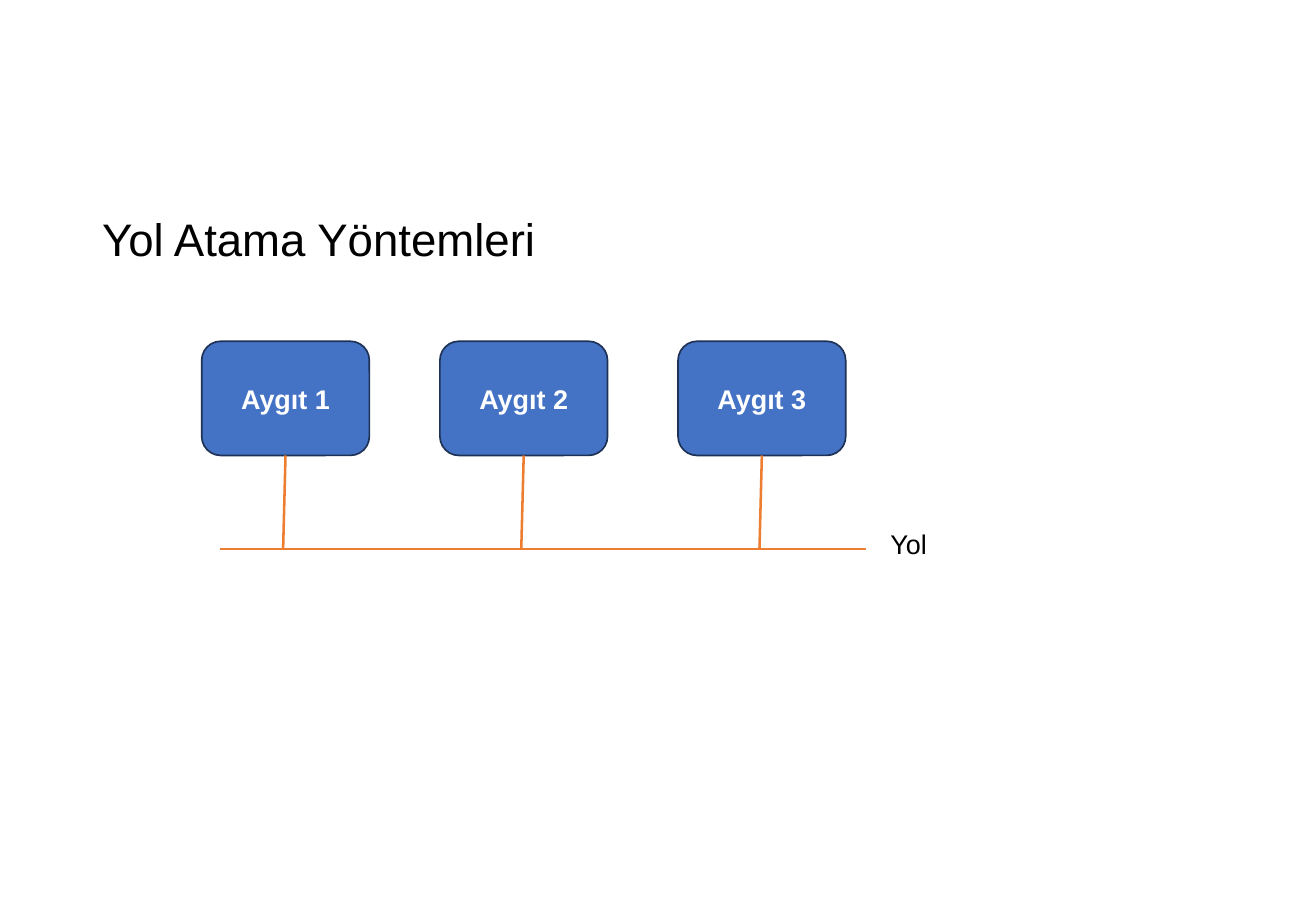
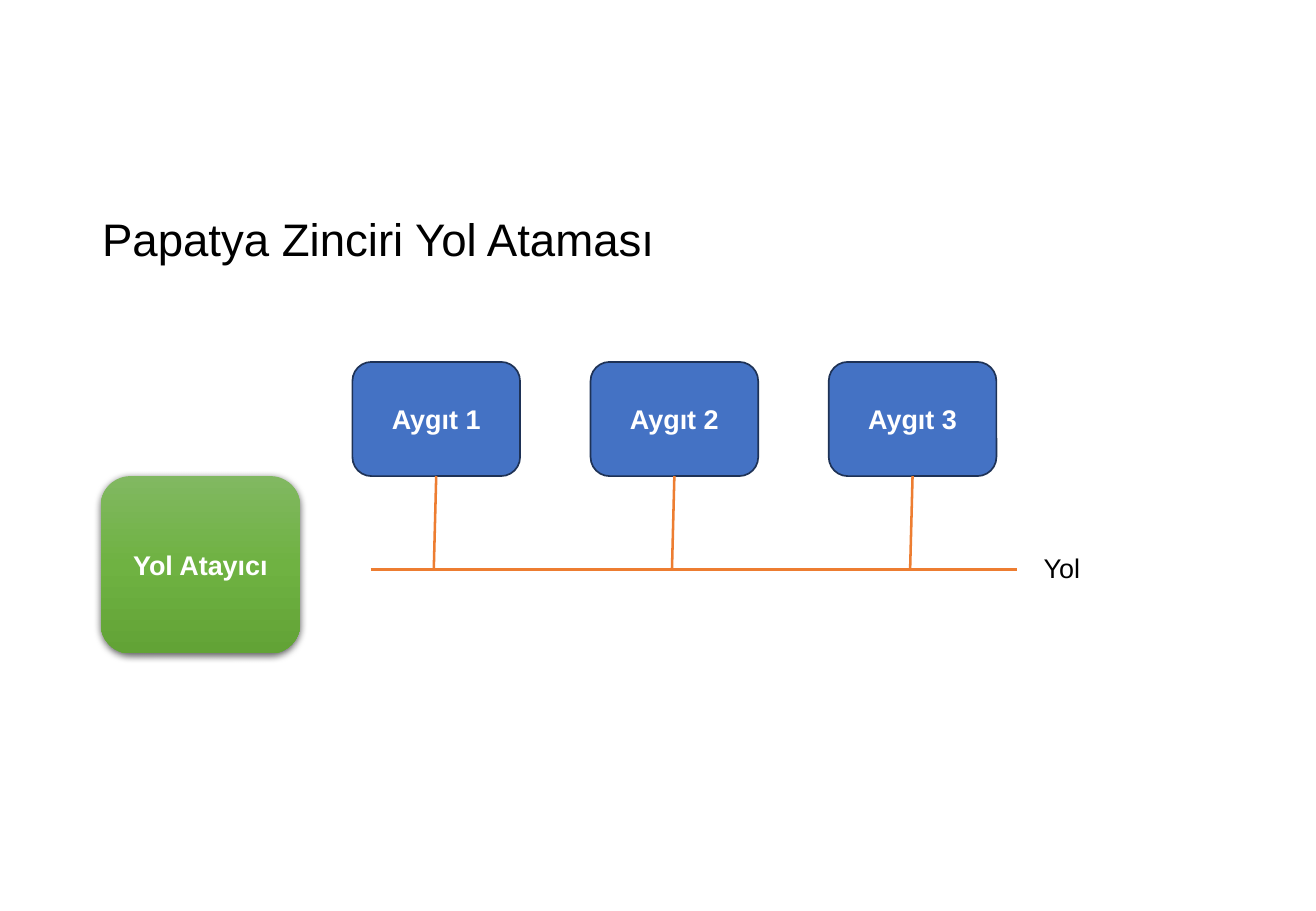
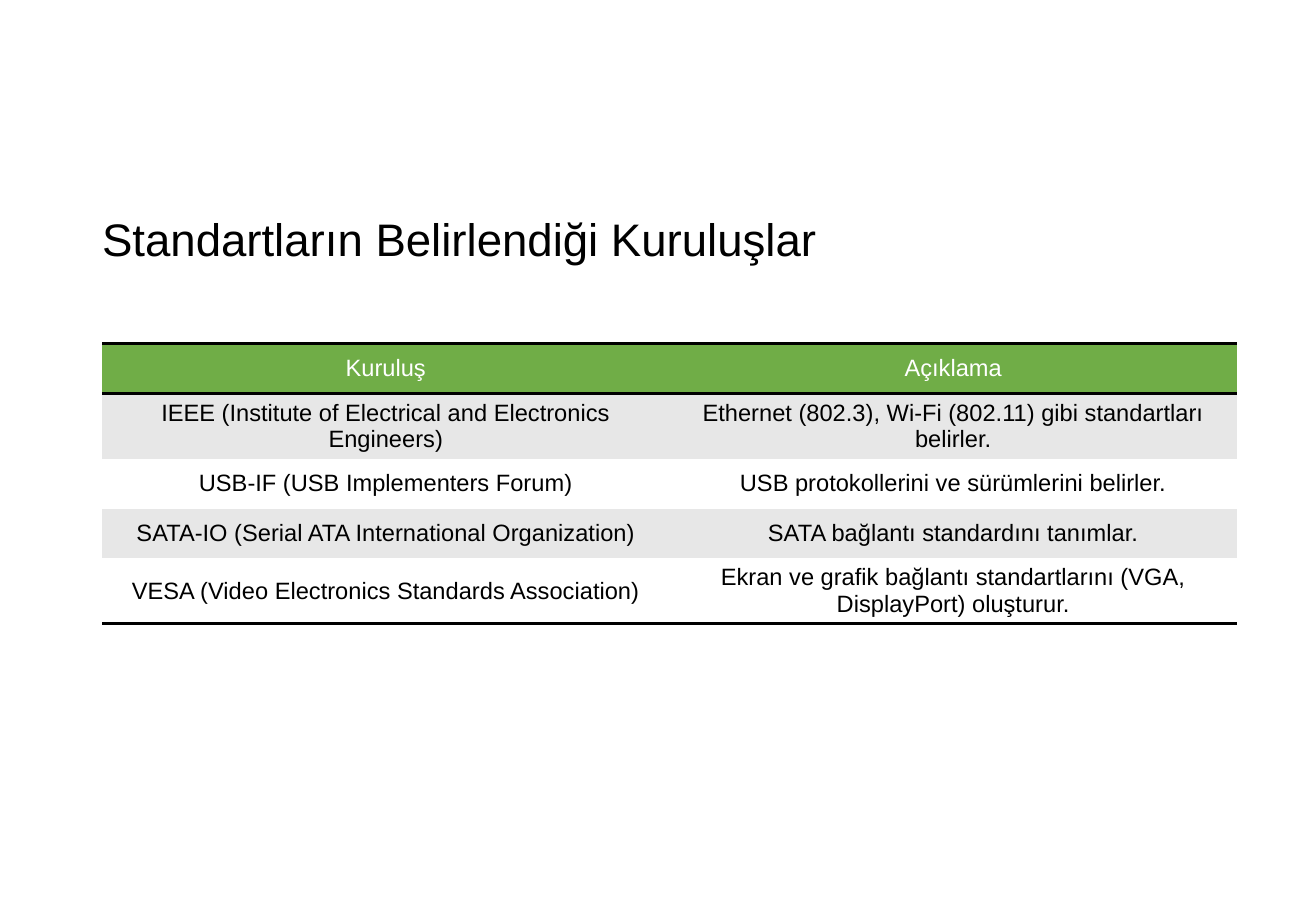
"""Builds three slides on bus arbitration and the bodies that set standards."""
from copy import deepcopy

from lxml import etree
from pptx import Presentation
from pptx.dml.color import RGBColor
from pptx.enum.shapes import MSO_CONNECTOR, MSO_SHAPE
from pptx.enum.text import MSO_ANCHOR, MSO_AUTO_SIZE, PP_ALIGN
from pptx.oxml import parse_xml
from pptx.oxml.ns import nsdecls, qn
from pptx.util import Inches, Pt

STRAIGHT = MSO_CONNECTOR.STRAIGHT
ROUNDED = MSO_SHAPE.ROUNDED_RECTANGLE
MIDDLE = MSO_ANCHOR.MIDDLE
NO_FIT, GROW = MSO_AUTO_SIZE.NONE, MSO_AUTO_SIZE.SHAPE_TO_FIT_TEXT
LEFT, CENTER = PP_ALIGN.LEFT, PP_ALIGN.CENTER

FONT = "Arial"
BLACK, WHITE = "000000", "FFFFFF"
BLUE, NAVY, ORANGE = "4472C4", "1E3256", "ED7D31"
GREEN, GRAY = "70AD47", "E7E7E7"
ARBITER_GRADIENT = [(0, "81B861"), (0.5, "6FB242"), (1, "62A336")]
NO_GRID_STYLE = "{2D5ABB26-0587-4C30-8999-92F81FD0307C}"

TITLE_BOX = (0.74, 1.66, 9.34, 0.66)
DEVICES = ["Aygıt 1", "Aygıt 2", "Aygıt 3"]
DEVICE_W, DEVICE_H, DEVICE_PITCH = 1.38, 0.94, 1.96
BUS_INDENT, BUS_LENGTH, DROP, DROP_LEAN = 0.15, 5.32, 0.77, 0.02

BUS_SLIDES = [
    {"title": "Yol Atama Yöntemleri", "devices": (1.66, 2.81),
     "label": (7.23, 4.29), "arbiter": None},
    {"title": "Papatya Zinciri Yol Ataması", "devices": (2.9, 2.98),
     "label": (8.49, 4.49), "arbiter": (0.83, 3.92, 1.64, 1.46)},
]
BUS_LABEL, ARBITER_LABEL = "Yol", "Yol Atayıcı"

STANDARDS_TITLE = "Standartların Belirlendiği Kuruluşlar"
STANDARDS = [
    ("Kuruluş", "Açıklama"),
    ("IEEE (Institute of Electrical and Electronics Engineers)",
     "Ethernet (802.3), Wi-Fi (802.11) gibi standartları belirler."),
    ("USB-IF (USB Implementers Forum)",
     "USB protokollerini ve sürümlerini belirler."),
    ("SATA-IO (Serial ATA International Organization)",
     "SATA bağlantı standardını tanımlar."),
    ("VESA (Video Electronics Standards Association)",
     "Ekran ve grafik bağlantı standartlarını (VGA, DisplayPort) oluşturur."),
]
STANDARDS_LEFT, STANDARDS_TOP, COLUMN_W, ROW_H = 0.84, 2.83, 4.67, 0.41


def rgb(value):
    return RGBColor.from_string(value)


def inches(*lengths):
    return [Inches(length) for length in lengths]


def write(frame, text, size, color, align=LEFT, bold=False):
    paragraph = frame.paragraphs[0]
    paragraph.alignment = align
    run = paragraph.add_run()
    run.text = text
    run.font.name, run.font.size, run.font.bold = FONT, Pt(size), bold
    run.font.color.rgb = rgb(color)
    return paragraph


def new_slide(deck, title):
    slide = deck.slides.add_slide(deck.slide_layouts[5])
    heading = slide.shapes.title
    heading.left, heading.top, heading.width, heading.height = inches(*TITLE_BOX)
    frame = heading.text_frame
    frame.auto_size, frame.vertical_anchor = NO_FIT, MIDDLE
    write(frame, title, 27, BLACK).line_spacing = 0.9
    return slide


def add_block(slide, box, text):
    block = slide.shapes.add_shape(ROUNDED, *inches(*box))
    block.shadow.inherit = False
    block.text_frame.vertical_anchor = MIDDLE
    write(block.text_frame, text, 16, WHITE, CENTER, True)
    return block


def add_device(slide, left, top, text):
    device = add_block(slide, (left, top, DEVICE_W, DEVICE_H), text)
    device.fill.solid()
    device.fill.fore_color.rgb = rgb(BLUE)
    device.line.color.rgb = rgb(NAVY)
    device.line.width = Pt(1)


def add_wire(slide, start, end):
    wire = slide.shapes.add_connector(STRAIGHT, *inches(*start, *end))
    wire.line.color.rgb = rgb(ORANGE)
    wire.line.width = Pt(1.5)
    etree.SubElement(wire._element.spPr, qn("a:effectLst"))


def add_arbiter(slide, box):
    arbiter = add_block(slide, box, ARBITER_LABEL)
    arbiter.line.fill.background()
    arbiter.fill.gradient()
    arbiter.fill.gradient_angle = 270
    properties = arbiter._element.spPr
    stop_list = properties.find(qn("a:gradFill")).find(qn("a:gsLst"))
    stop_list.insert(1, deepcopy(stop_list[0]))
    for stop, (position, color) in zip(arbiter.fill.gradient_stops, ARBITER_GRADIENT):
        stop.position = position
        stop.color.rgb = rgb(color)
    properties.find(qn("a:effectLst")).append(parse_xml(
        f'<a:outerShdw {nsdecls("a")} blurRad="{Pt(4.5)}" dist="{Pt(1.5)}" '
        'dir="5400000" algn="ctr" rotWithShape="0">'
        f'<a:srgbClr val="{BLACK}"><a:alpha val="63000"/></a:srgbClr></a:outerShdw>'))


def add_bus_slide(deck, content):
    slide = new_slide(deck, content["title"])
    left, top = content["devices"]
    bottom = top + DEVICE_H
    bus_y = bottom + DROP
    bus_left = left + BUS_INDENT
    for index, device in enumerate(DEVICES):
        add_device(slide, left + index * DEVICE_PITCH, top, device)
    add_wire(slide, (bus_left, bus_y), (bus_left + BUS_LENGTH, bus_y))
    for index in range(len(DEVICES)):
        center = left + index * DEVICE_PITCH + DEVICE_W / 2
        add_wire(slide, (center, bottom), (center - DROP_LEAN, bus_y))
    label = slide.shapes.add_textbox(*inches(*content["label"], 1.13, 0.37)).text_frame
    label.word_wrap, label.auto_size = True, GROW
    write(label, BUS_LABEL, 16, BLACK)
    if content["arbiter"]:
        add_arbiter(slide, content["arbiter"])


def add_border(cell, edge):
    cell._tc.get_or_add_tcPr().append(parse_xml(
        f'<a:{edge} {nsdecls("a")} w="{Pt(2)}"><a:solidFill>'
        f'<a:srgbClr val="{BLACK}"/></a:solidFill></a:{edge}>'))


def add_standards_slide(deck):
    slide = new_slide(deck, STANDARDS_TITLE)
    rows, columns = len(STANDARDS), len(STANDARDS[0])
    table = slide.shapes.add_table(rows, columns, *inches(
        STANDARDS_LEFT, STANDARDS_TOP, columns * COLUMN_W, rows * ROW_H)).table
    table._tbl.tblPr.find(qn("a:tableStyleId")).text = NO_GRID_STYLE
    for row, texts in enumerate(STANDARDS):
        header = row == 0
        fill = GREEN if header else (GRAY if row % 2 else WHITE)
        for column, text in enumerate(texts):
            cell = table.cell(row, column)
            cell.vertical_anchor = MIDDLE
            write(cell.text_frame, text, 14, WHITE if header else BLACK, CENTER)
            if header:
                add_border(cell, "lnT")
            if header or row == rows - 1:
                add_border(cell, "lnB")
            cell.fill.solid()
            cell.fill.fore_color.rgb = rgb(fill)


def main():
    deck = Presentation()
    deck.slide_width, deck.slide_height = inches(10.83, 7.5)
    for content in BUS_SLIDES:
        add_bus_slide(deck, content)
    add_standards_slide(deck)
    deck.save("out.pptx")


if __name__ == "__main__":
    main()
